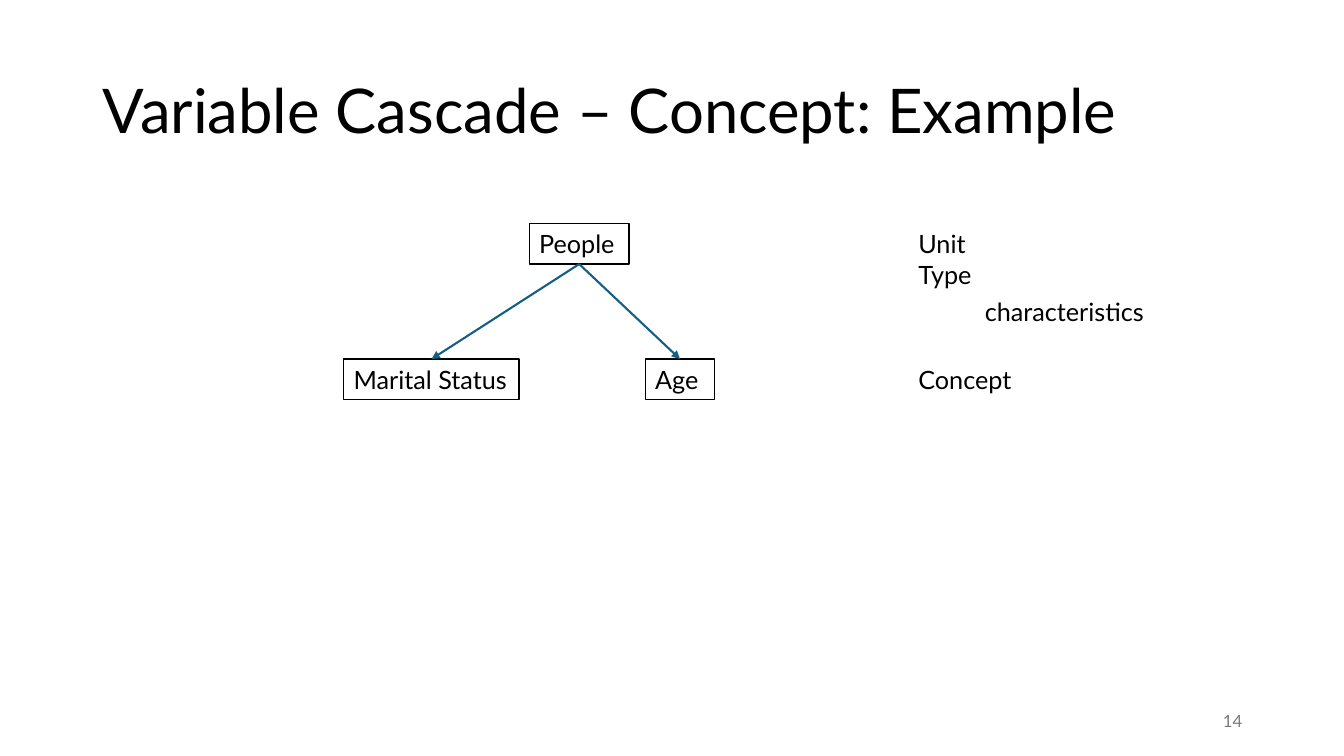
from lxml.etree import SubElement
from pptx import Presentation
from pptx.dml.color import RGBColor
from pptx.enum.shapes import MSO_CONNECTOR as Connector, MSO_SHAPE as Shape
from pptx.enum.text import MSO_ANCHOR as Anchor, PP_ALIGN as Align
from pptx.oxml.ns import qn
from pptx.util import Inches, Pt

WIDTH, HEIGHT = Inches(13.33), Inches(7.5)
COLUMN, ROW = WIDTH / 100, HEIGHT / 100
BOX_ROWS = 5.33
LEVELS = [29.6 + 8.95 * level for level in range(3)]
BLACK, GREY, BLUE = "000000", "797979", "156082"
BOTTOM, TOP = 2, 0


def color(code):
    """Turn a hex string into a colour."""
    return RGBColor.from_string(code)


def area(left, top, columns, rows=BOX_ROWS):
    """Turn grid columns and rows into slide lengths."""
    return (round(left * COLUMN), round(top * ROW),
            round(columns * COLUMN), round(rows * ROW))


def write(holder, text, size=18, code=BLACK, align=Align.LEFT, anchor=Anchor.TOP):
    """Put one formatted paragraph into a shape."""
    frame = holder.text_frame
    frame.text = text
    frame.word_wrap = True
    frame.vertical_anchor = anchor
    line = frame.paragraphs[0]
    line.alignment = align
    line.font.name = "Lato"
    line.font.size = Pt(size)
    line.font.color.rgb = color(code)
    return line


def add_heading(slide, text):
    """Place and format the title."""
    title = slide.shapes.title
    title.left, title.top, title.width, title.height = area(6.9, 5.33, 86.27, 19.33)
    write(title, text, size=44, anchor=Anchor.MIDDLE).line_spacing = 0.9


def add_node(slide, text, left, top, columns):
    """Add an outlined box of the cascade."""
    node = slide.shapes.add_shape(Shape.RECTANGLE, *area(left, top, columns))
    node.shadow.inherit = False
    node.fill.background()
    node.line.color.rgb = color(BLACK)
    node.line.width = Pt(1)
    write(node, text)
    return node


def add_label(slide, text, left, top, columns, **style):
    """Add free text."""
    write(slide.shapes.add_textbox(*area(left, top, columns)), text, **style)


def add_arrow(slide, parent, child):
    """Join the bottom of a parent box to the top of its child."""
    arrow = slide.shapes.add_connector(Connector.STRAIGHT, 0, 0, 0, 0)
    arrow.begin_connect(parent, BOTTOM)
    arrow.end_connect(child, TOP)
    arrow.line.color.rgb = color(BLUE)
    arrow.line.width = Pt(1.5)
    SubElement(arrow.line._get_or_add_ln(), qn("a:tailEnd"), type="triangle")
    SubElement(arrow._element.spPr, qn("a:effectLst"))


def main():
    """Build and save the slide."""
    deck = Presentation()
    deck.slide_width, deck.slide_height = WIDTH, HEIGHT
    slide = deck.slides.add_slide(deck.slide_layouts[5])
    unit_level, link_level, concept_level = LEVELS

    add_heading(slide, "Variable Cascade – Concept: Example")
    people = add_node(slide, "People", 39.38, unit_level, 7.43)
    concepts = [add_node(slide, text, left, concept_level, columns)
                for text, left, columns in (("Marital Status", 25.58, 13.05),
                                            ("Age", 48.01, 5.18))]
    for text, left, top, columns in (("Unit Type", 67.59, unit_level, 9.3),
                                     ("characteristics", 72.54, link_level, 13.8),
                                     ("Concept", 67.59, concept_level, 9.3)):
        add_label(slide, text, left, top, columns)
    for concept in concepts:
        add_arrow(slide, people, concept)
    add_label(slide, "14", 70.67, 92.67, 22.5, size=12, code=GREY,
              align=Align.RIGHT, anchor=Anchor.MIDDLE)
    deck.save("out.pptx")


if __name__ == "__main__":
    main()
